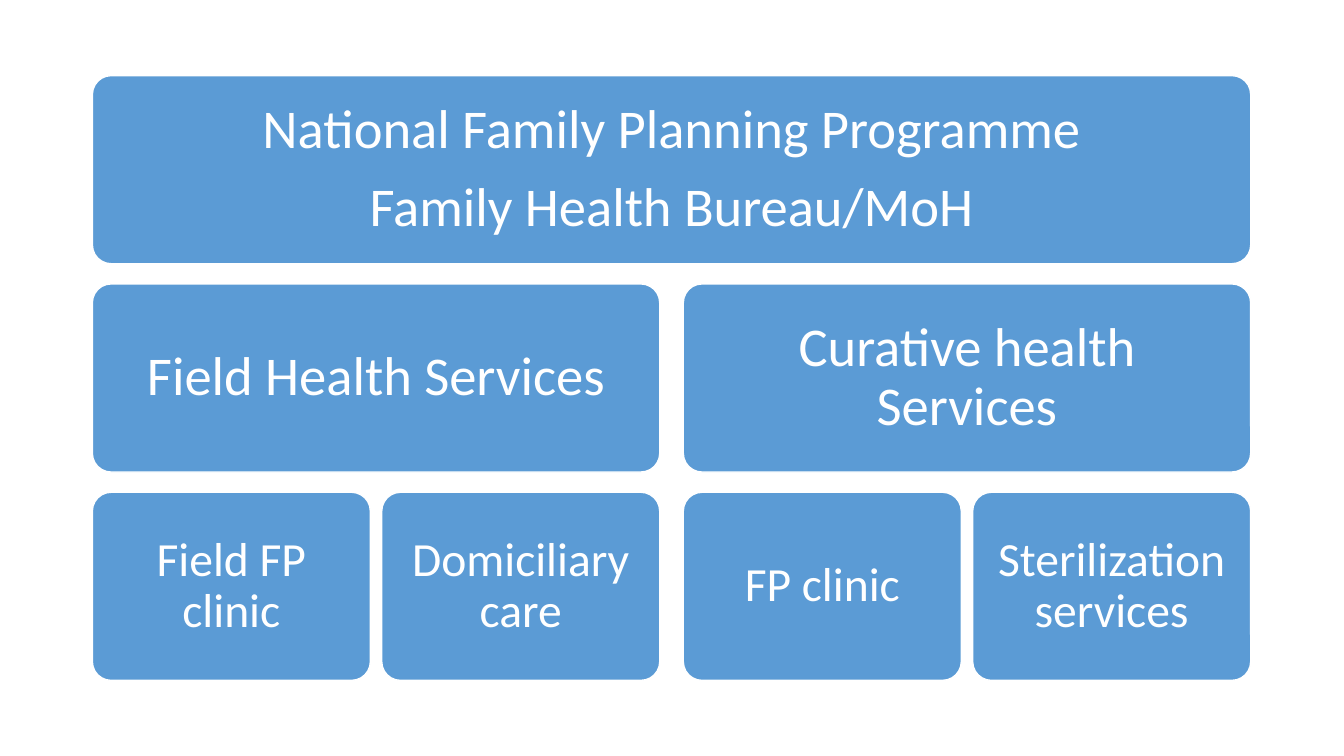
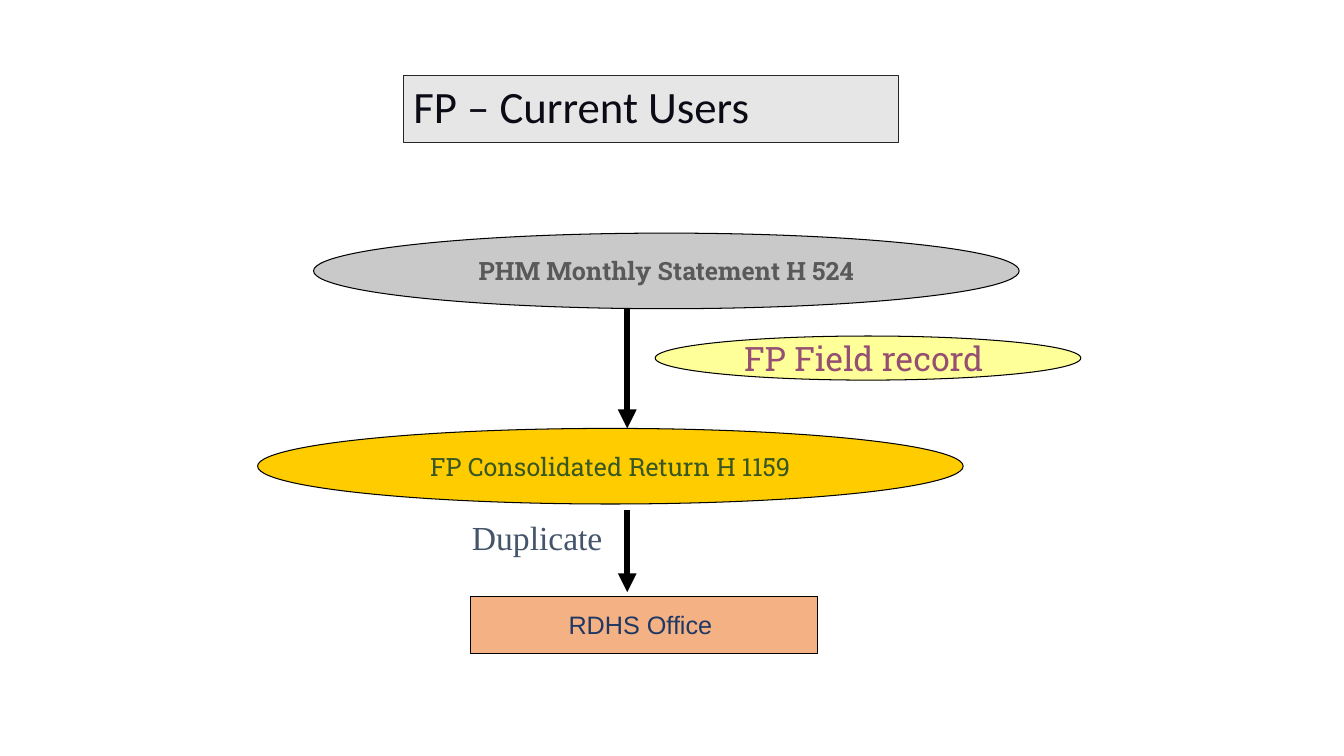
from dataclasses import dataclass

import lxml.etree
import pptx
import pptx.dml.color
import pptx.enum.shapes
import pptx.enum.text
import pptx.oxml.ns
import pptx.presentation
import pptx.shapes.autoshape
import pptx.shapes.base
import pptx.slide
import pptx.text.text
import pptx.util

RGBColor = pptx.dml.color.RGBColor
MSO_SHAPE = pptx.enum.shapes.MSO_SHAPE
PP_ALIGN = pptx.enum.text.PP_ALIGN
MSO_ANCHOR = pptx.enum.text.MSO_ANCHOR
MSO_AUTO_SIZE = pptx.enum.text.MSO_AUTO_SIZE

WHITE = RGBColor(0xFF, 0xFF, 0xFF)
BLACK = RGBColor(0x00, 0x00, 0x00)
BLUE = RGBColor(0x5B, 0x9B, 0xD5)
TITLE_FILL = RGBColor(0xE7, 0xE6, 0xE6)
TITLE_LINE = RGBColor(0x26, 0x26, 0x26)
TITLE_INK = RGBColor(0x0B, 0x0B, 0x15)
GREY = RGBColor(0xC9, 0xC9, 0xC9)
DARK_GREY = RGBColor(0x59, 0x59, 0x59)
GOLD = RGBColor(0xFF, 0xCC, 0x00)
GREEN = RGBColor(0x38, 0x57, 0x23)
YELLOW = RGBColor(0xFF, 0xFF, 0x99)
PURPLE = RGBColor(0x95, 0x4F, 0x72)
ORANGE = RGBColor(0xF4, 0xB1, 0x83)
NAVY = RGBColor(0x20, 0x38, 0x64)
SLATE = RGBColor(0x44, 0x54, 0x6A)

GRID_COLUMNS, GRID_ROWS = 160, 90
CELLS_PER_INCH = 12

TREE_LEFT, TREE_TOP = 11, 9
LEAF_WIDTH, LEAF_GAP, BRANCH_GAP = 33.1, 1.35, 2.8
LEVEL_HEIGHT, LEVEL_GAP = 22.4, 2.4
LEAVES_PER_BRANCH = 2
ARROW_COLUMN = 74.67


@dataclass(frozen=True)
class Area:
    column: float
    row: float
    columns: float
    rows: float


@dataclass(frozen=True)
class TextStyle:
    size: float
    color: RGBColor
    font: str = "Calibri"
    bold: bool = False
    alignment: PP_ALIGN = PP_ALIGN.CENTER
    line_spacing: float = 1.0
    space_between: float = 0


@dataclass(frozen=True)
class TreeBox:
    text: str
    level: int
    first_leaf: int
    leaf_count: int


@dataclass(frozen=True)
class FlowStep:
    text: str
    preset: MSO_SHAPE
    area: Area
    fill: RGBColor
    style: TextStyle


@dataclass(frozen=True)
class FlowArrow:
    start_row: float
    end_row: float


BRANCH_STYLE = TextStyle(39, WHITE, line_spacing=0.9, space_between=13.65)
LEAF_STYLE = TextStyle(34, WHITE, line_spacing=0.9)
TITLE_STYLE = TextStyle(32, TITLE_INK, alignment=PP_ALIGN.LEFT, line_spacing=0.9)
LABEL_STYLE = TextStyle(24, SLATE, "Times New Roman", alignment=PP_ALIGN.LEFT)

TREE = [
    TreeBox("National Family Planning Programme\nFamily Health Bureau/MoH", 0, 0, 4),
    TreeBox("Field Health Services", 1, 0, 2),
    TreeBox("Curative health Services", 1, 2, 2),
    TreeBox("Field FP clinic", 2, 0, 1),
    TreeBox("Domiciliary care", 2, 1, 1),
    TreeBox("FP clinic", 2, 2, 1),
    TreeBox("Sterilization services", 2, 3, 1),
]

FLOW_STEPS = [
    FlowStep("PHM Monthly Statement H 524", MSO_SHAPE.OVAL, Area(37.33, 27.75, 84, 9),
             GREY, TextStyle(18, DARK_GREY, "Roboto Slab", bold=True)),
    FlowStep("FP Consolidated Return H 1159", MSO_SHAPE.OVAL, Area(30.67, 51, 84, 9),
             GOLD, TextStyle(18, GREEN, "Roboto Slab")),
    FlowStep("FP Field record ", MSO_SHAPE.OVAL, Area(78, 40, 50.67, 5.25),
             YELLOW, TextStyle(24, PURPLE, "Roboto Slab")),
    FlowStep("RDHS Office ", MSO_SHAPE.RECTANGLE, Area(56, 71, 41.33, 6.75),
             ORANGE, TextStyle(18, NAVY, "Arial")),
]

FLOW_ARROWS = [FlowArrow(36.75, 51), FlowArrow(60.75, 70.5)]


def cells(count: float) -> pptx.util.Length:
    return pptx.util.Inches(count / CELLS_PER_INCH)


def place(shape: pptx.shapes.base.BaseShape, area: Area) -> None:
    shape.left, shape.top = cells(area.column), cells(area.row)
    shape.width, shape.height = cells(area.columns), cells(area.rows)


def paint(shape: pptx.shapes.autoshape.Shape, fill: RGBColor,
          line: RGBColor, line_width: float) -> None:
    shape.fill.solid()
    shape.fill.fore_color.rgb = fill
    shape.line.color.rgb = line
    shape.line.width = pptx.util.Pt(line_width)


def write(frame: pptx.text.text.TextFrame, text: str, style: TextStyle) -> None:
    frame.text = text
    for paragraph in frame.paragraphs:
        paragraph.alignment = style.alignment
        paragraph.line_spacing = style.line_spacing
        for run in paragraph.runs:
            run.font.name = style.font
            run.font.size = pptx.util.Pt(style.size)
            run.font.bold = style.bold
            run.font.color.rgb = style.color
    for paragraph in frame.paragraphs[:-1]:
        paragraph.space_after = pptx.util.Pt(style.space_between)


def add_box(slide: pptx.slide.Slide, preset: MSO_SHAPE, area: Area, fill: RGBColor,
            line: RGBColor, line_width: float, text: str, style: TextStyle,
            wrap: bool) -> pptx.shapes.autoshape.Shape:
    shape = slide.shapes.add_shape(preset, 0, 0, 0, 0)
    place(shape, area)
    shape.shadow.inherit = False
    paint(shape, fill, line, line_width)
    shape.text_frame.word_wrap = wrap
    shape.text_frame.vertical_anchor = MSO_ANCHOR.MIDDLE
    write(shape.text_frame, text, style)
    return shape


def leaf_column(leaf: int) -> float:
    extra_gap = leaf // LEAVES_PER_BRANCH * (BRANCH_GAP - LEAF_GAP)
    return TREE_LEFT + leaf * (LEAF_WIDTH + LEAF_GAP) + extra_gap


def add_tree_box(slide: pptx.slide.Slide, box: TreeBox) -> None:
    left = leaf_column(box.first_leaf)
    right = leaf_column(box.first_leaf + box.leaf_count - 1) + LEAF_WIDTH
    top = TREE_TOP + box.level * (LEVEL_HEIGHT + LEVEL_GAP)
    is_leaf = box.leaf_count == 1
    shape = add_box(slide, MSO_SHAPE.ROUNDED_RECTANGLE,
                    Area(left, top, right - left, LEVEL_HEIGHT), BLUE, WHITE, 1,
                    box.text, LEAF_STYLE if is_leaf else BRANCH_STYLE, True)
    shape.adjustments[0] = 0.1
    frame = shape.text_frame
    inset = pptx.util.Inches(0.18 if is_leaf else 0.2)
    frame.margin_left = frame.margin_right = inset
    frame.margin_top = frame.margin_bottom = inset


def add_arrow(slide: pptx.slide.Slide, arrow: FlowArrow) -> None:
    connector = slide.shapes.add_connector(
        pptx.enum.shapes.MSO_CONNECTOR.STRAIGHT,
        cells(ARROW_COLUMN), cells(arrow.start_row),
        cells(ARROW_COLUMN), cells(arrow.end_row))
    connector.line.color.rgb = BLACK
    connector.line.width = pptx.util.Pt(4.5)
    properties = connector.element.spPr
    qualify = pptx.oxml.ns.qn
    lxml.etree.SubElement(properties.find(qualify("a:ln")), qualify("a:tailEnd"), type="triangle")
    lxml.etree.SubElement(properties, qualify("a:effectLst"))


def add_title(slide: pptx.slide.Slide, text: str, area: Area) -> None:
    title = slide.shapes.title
    place(title, area)
    paint(title, TITLE_FILL, TITLE_LINE, 0.75)
    title.text_frame.auto_size = MSO_AUTO_SIZE.NONE
    title.text_frame.vertical_anchor = MSO_ANCHOR.MIDDLE
    write(title.text_frame, text, TITLE_STYLE)


def add_label(slide: pptx.slide.Slide, text: str, area: Area) -> None:
    label = slide.shapes.add_textbox(0, 0, 0, 0)
    place(label, area)
    label.text_frame.word_wrap = True
    label.text_frame.auto_size = MSO_AUTO_SIZE.NONE
    write(label.text_frame, text, LABEL_STYLE)


def build_programme_slide(presentation: pptx.presentation.Presentation) -> None:
    slide = presentation.slides.add_slide(presentation.slide_layouts.get_by_name("Blank"))
    for box in TREE:
        add_tree_box(slide, box)


def build_users_slide(presentation: pptx.presentation.Presentation) -> None:
    slide = presentation.slides.add_slide(presentation.slide_layouts.get_by_name("Title Only"))
    add_title(slide, "FP – Current Users", Area(48, 9, 59, 8))
    for step in FLOW_STEPS:
        add_box(slide, step.preset, step.area, step.fill, BLACK, 0.75,
                step.text, step.style, False)
    add_label(slide, "Duplicate", Area(55, 61, 19, 6))
    for arrow in FLOW_ARROWS:
        add_arrow(slide, arrow)


def main() -> None:
    presentation = pptx.Presentation()
    presentation.slide_width = cells(GRID_COLUMNS)
    presentation.slide_height = cells(GRID_ROWS)
    build_programme_slide(presentation)
    build_users_slide(presentation)
    presentation.save("out.pptx")


if __name__ == "__main__":
    main()
